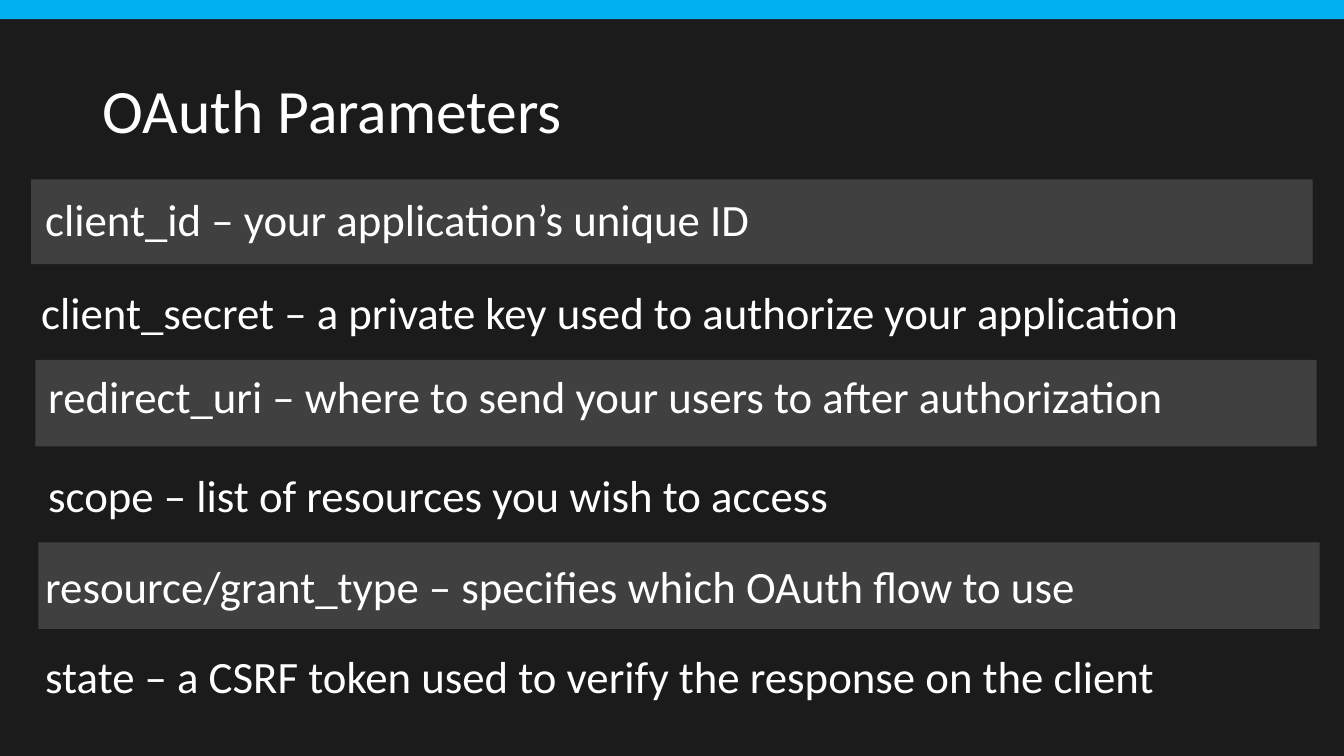
from dataclasses import dataclass

from pptx import Presentation
from pptx.dml.color import RGBColor
from pptx.enum.shapes import MSO_SHAPE
from pptx.enum.text import MSO_ANCHOR
from pptx.slide import Slide
from pptx.util import Inches, Pt

RECTANGLE = MSO_SHAPE.RECTANGLE
TOP = MSO_ANCHOR.TOP
MIDDLE = MSO_ANCHOR.MIDDLE

FONT = "Calibri"
COLORS = {
    "background": "1B1B1B",
    "accent": "00B0F0",
    "band": "404040",
    "text": "FFFFFF",
}
BAND_WIDTH = 12.71
TEXT_HEIGHT = 0.64


@dataclass
class Band:
    left: float
    top: float
    height: float


@dataclass
class Parameter:
    text: str
    left: float
    top: float
    width: float


BANDS = [
    Band(0.31, 1.78, 0.84),
    Band(0.35, 3.57, 0.86),
    Band(0.38, 5.38, 0.86),
]

PARAMETERS = [
    Parameter("client_id – your application’s unique ID", 0.35, 1.85, 8.61),
    Parameter("client_secret – a private key used to authorize your application",
              0.31, 2.78, 12.71),
    Parameter("redirect_uri – where to send your users to after authorization",
              0.38, 3.61, 12.45),
    Parameter("scope – list of resources you wish to access", 0.38, 4.59, 12.56),
    Parameter("resource/grant_type – specifies which OAuth flow to use",
              0.35, 5.49, 12.56),
    Parameter("state – a CSRF token used to verify the response on the client",
              0.35, 6.39, 12.45),
]


def add_bar(s: Slide, left: float, top: float, width: float, height: float,
            color: str) -> None:
    sp = s.shapes.add_shape(RECTANGLE, Inches(left), Inches(top),
                            Inches(width), Inches(height))
    sp.shadow.inherit = False
    sp.fill.solid()
    sp.fill.fore_color.rgb = RGBColor.from_string(COLORS[color])
    sp.line.fill.background()


def add_text(s: Slide, text: str, left: float, top: float, width: float,
             height: float, size: int, anchor: MSO_ANCHOR = TOP,
             line_spacing: float = 1.0) -> None:
    sp = s.shapes.add_textbox(Inches(left), Inches(top),
                              Inches(width), Inches(height))
    tf = sp.text_frame
    tf.word_wrap = True
    tf.vertical_anchor = anchor
    p = tf.paragraphs[0]
    p.text = text
    p.line_spacing = line_spacing
    p.font.name = FONT
    p.font.size = Pt(size)
    p.font.color.rgb = RGBColor.from_string(COLORS["text"])


def main() -> None:
    prs = Presentation()
    prs.slide_width = Inches(13.33)
    prs.slide_height = Inches(7.5)
    s = prs.slides.add_slide(prs.slide_layouts[6])
    s.background.fill.solid()
    s.background.fill.fore_color.rgb = RGBColor.from_string(COLORS["background"])

    # Top accent and title
    add_bar(s, 0, 0, 13.33, 0.19, "accent")
    add_text(s, "OAuth Parameters", 0.92, 0.4, 11.5, 1.45, 44, MIDDLE, 0.9)

    # Bands behind every second parameter
    for band in BANDS:
        add_bar(s, band.left, band.top, BAND_WIDTH, band.height, "band")

    # Parameter list
    for param in PARAMETERS:
        add_text(s, param.text, param.left, param.top, param.width, TEXT_HEIGHT, 32)

    prs.save("out.pptx")


if __name__ == "__main__":
    main()
